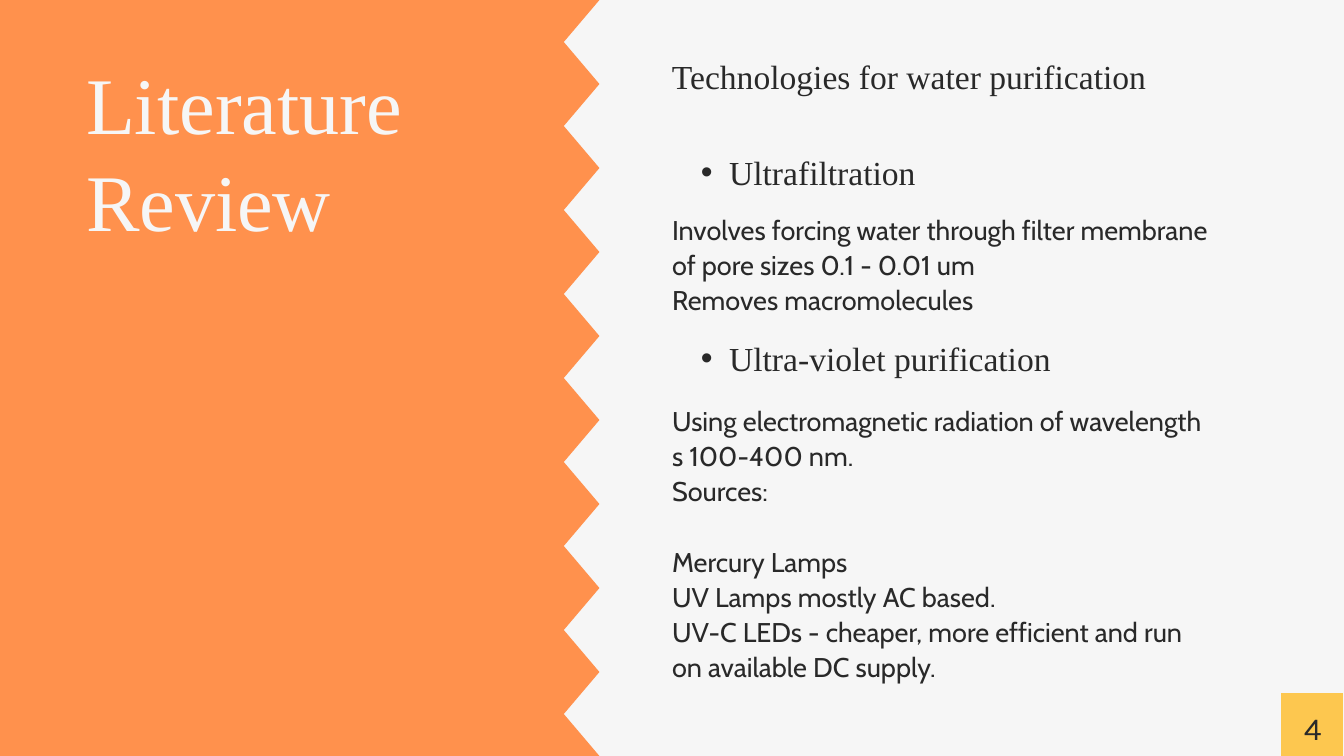
import lxml.etree
import pptx
import pptx.dml.color
import pptx.enum.text
import pptx.oxml.ns
import pptx.util

Inches = pptx.util.Inches
Pt = pptx.util.Pt
ALIGN = pptx.enum.text.PP_ALIGN

ORANGE = "FF914D"
YELLOW = "FDC74F"
LIGHT = "F6F6F6"
DARK = "292929"
SERIF = "Times New Roman"
SANS = "Cabin"
BODY_LEFT = 10
BODY_WIDTH = 8.06


def paint(fill, color):
    fill.solid()
    fill.fore_color.rgb = pptx.dml.color.RGBColor.from_string(color)


def place(shape, left, top, width, height):
    shape.left, shape.top = Inches(left), Inches(top)
    shape.width, shape.height = Inches(width), Inches(height)


def set_bullet(paragraph, bullet):
    properties = paragraph._p.get_or_add_pPr()
    properties.set("marL", str(Inches(0.85) if bullet else 0))
    properties.set("indent", str(Inches(-0.42) if bullet else 0))
    tag = pptx.oxml.ns.qn("a:buChar" if bullet else "a:buNone")
    element = lxml.etree.SubElement(properties, tag)
    if bullet:
        paragraph.level = 1
        element.set("char", "•")


def write_text(shape, lines, font=SANS, size=29, color=DARK, spacing=37.7,
               align=ALIGN.LEFT, bullet=False, gap_before=None):
    frame = shape.text_frame
    frame.margin_left = frame.margin_right = 0
    frame.margin_top = frame.margin_bottom = 0
    frame.word_wrap = True
    frame.auto_size = pptx.enum.text.MSO_AUTO_SIZE.NONE
    frame.vertical_anchor = pptx.enum.text.MSO_ANCHOR.TOP
    for index, line in enumerate(lines):
        paragraph = frame.paragraphs[0] if index == 0 else frame.add_paragraph()
        paragraph.alignment = align
        paragraph.line_spacing = Pt(spacing)
        paragraph.space_before = Pt(spacing if line == gap_before else 0)
        paragraph.space_after = Pt(0)
        set_bullet(paragraph, bullet)
        run = paragraph.add_run()
        run.text = line
        run.font.name = font
        run.font.size = Pt(size)
        run.font.bold = False
        paint(run.font.fill, color)


def add_text_box(slide, box, lines, **text_format):
    shape = slide.shapes.add_textbox(0, 0, 0, 0)
    place(shape, *box)
    write_text(shape, lines, **text_format)


def fill_placeholder(slide, index, box, lines, **text_format):
    shape = slide.placeholders[index]
    place(shape, *box)
    write_text(shape, lines, **text_format)


def add_outline(slide, points, color):
    corners = [(Inches(x), Inches(y)) for x, y in points]
    builder = slide.shapes.build_freeform(*corners[0], scale=1.0)
    builder.add_line_segments(corners[1:], close=True)
    shape = builder.convert_to_shape()
    shape.shadow.inherit = False
    paint(shape.fill, color)
    shape.line.fill.background()
    return shape


def add_zigzag_panel(slide):
    teeth = 9
    step = 11.25 / (2 * teeth)
    edge = [(8.39 if i % 2 else 8.92, i * step) for i in range(2 * teeth + 1)]
    panel = add_outline(slide, [(0, 0), *edge, (0, 11.25)], ORANGE)
    slide.shapes._spTree.insert(2, panel._element)


def add_page_number(slide, number):
    left, top, side = 19.06, 10.32, 0.93
    corners = [(left, top), (left + side, top),
               (left + side, top + side), (left, top + side)]
    add_outline(slide, corners, YELLOW)
    add_text_box(slide, (19.4, 10.45, 0.27, 0.62), [number], font="Karla",
                 size=34, spacing=47.6, align=ALIGN.CENTER)


def main():
    presentation = pptx.Presentation()
    presentation.slide_width = Inches(20)
    presentation.slide_height = Inches(11.25)
    slide = presentation.slides.add_slide(presentation.slide_layouts[4])
    paint(slide.background.fill, LIGHT)

    add_zigzag_panel(slide)
    fill_placeholder(slide, 0, (1.28, 0.81, 6.29, 2.88), ["Literature Review"],
                     font=SERIF, size=86, color=LIGHT, spacing=103.2)

    heading = {"font": SERIF, "size": 36, "spacing": 46.8}
    add_text_box(slide, (BODY_LEFT, 0.78, BODY_WIDTH, 0.64),
                 ["Technologies for water purification"], **heading)

    topics = [
        (1, 2.21, "Ultrafiltration"),
        (3, 4.98, "Ultra-violet purification"),
    ]
    for index, top, topic in topics:
        fill_placeholder(slide, index, (BODY_LEFT, top, BODY_WIDTH, 0.64),
                         [topic], bullet=True, **heading)

    details = [
        (2, 3.13, 1.57, [
            "Involves forcing water through filter membrane of pore sizes 0.1 - 0.01 um",
            "Removes macromolecules",
        ]),
        (4, 5.98, 4.66, [
            "Using electromagnetic radiation of wavelength s 100-400 nm.",
            "Sources:",
            "Mercury Lamps",
            "UV Lamps mostly AC based.",
            "UV-C LEDs - cheaper, more efficient and run on available DC supply.",
        ]),
    ]
    for index, top, height, lines in details:
        fill_placeholder(slide, index, (BODY_LEFT, top, BODY_WIDTH, height),
                         lines, gap_before="Mercury Lamps")

    add_page_number(slide, "4")
    presentation.save("out.pptx")


if __name__ == "__main__":
    main()
